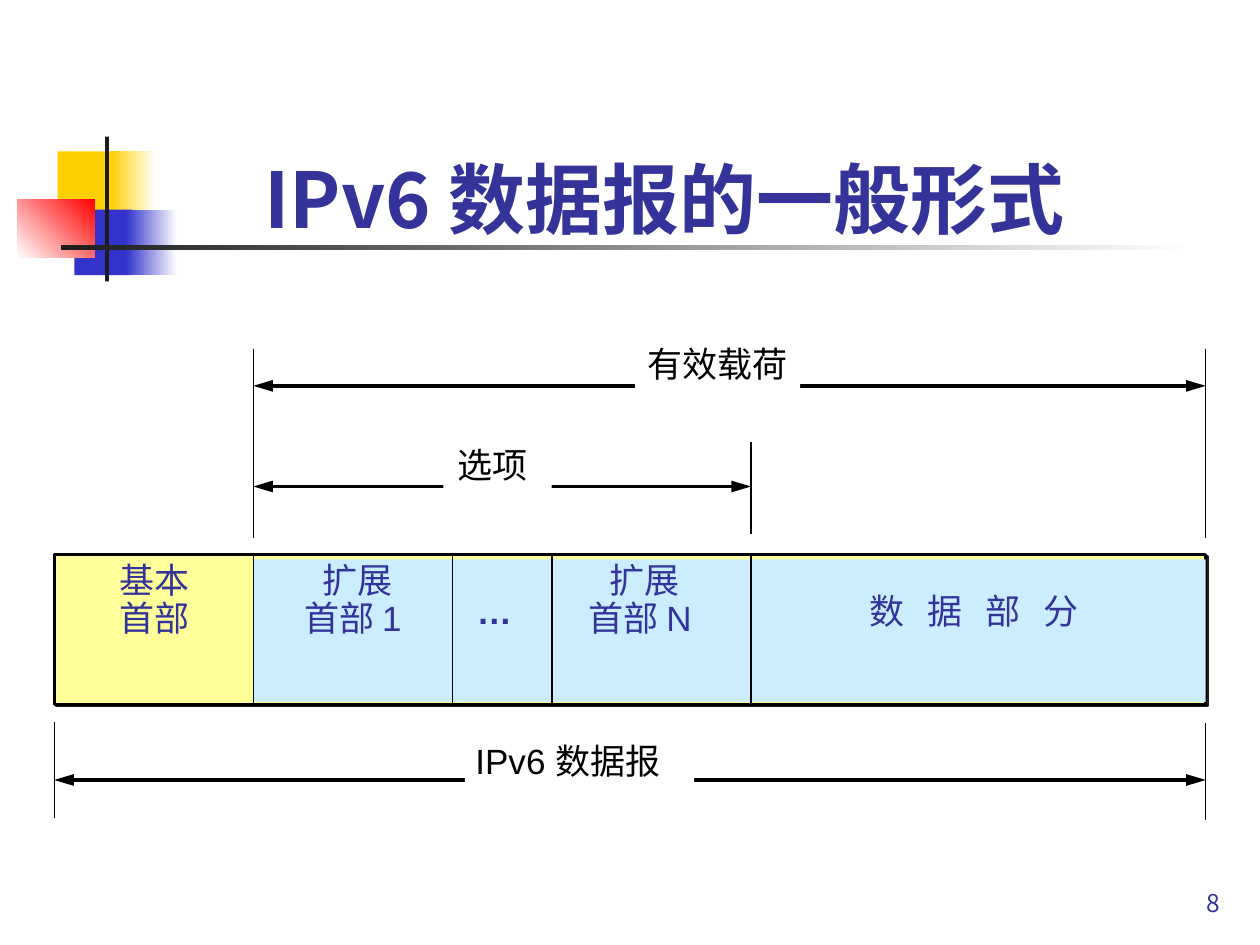
from lxml.etree import SubElement
from pptx import Presentation
from pptx.dml.color import RGBColor
from pptx.enum.shapes import MSO_CONNECTOR, MSO_SHAPE
from pptx.enum.text import MSO_ANCHOR, MSO_AUTO_SIZE, PP_ALIGN
from pptx.oxml.ns import qn
from pptx.util import Pt

CJK = "Noto Sans CJK JP"
NAVY, BLACK, WHITE = "333399", "000000", "FFFFFF"

# Datagram row: one column unit per header, half a unit for the ellipsis
LEFT, RIGHT, UNIT = 31, 689, 113.75
TOP, HEIGHT = 316.8, 85.7
HEADERS_LEFT, GAP_LEFT, GAP_RIGHT, DATA_LEFT = (
    LEFT + UNIT * n for n in (1, 2, 2.5, 3.5))


def color(value):
    return RGBColor.from_string(value)


def box(s, x, y, w, h, fill, fill_to=None, angle=0):
    """Borderless rectangle, solid or with a two-colour gradient."""
    sp = s.shapes.add_shape(MSO_SHAPE.RECTANGLE, Pt(x), Pt(y), Pt(w), Pt(h))
    sp.shadow.inherit = False
    sp.line.fill.background()
    if fill_to:
        sp.fill.gradient()
        sp.fill.gradient_angle = angle
        for stop, value in zip(sp.fill.gradient_stops, (fill, fill_to)):
            stop.color.rgb = color(value)
    else:
        sp.fill.solid()
        sp.fill.fore_color.rgb = color(fill)
    return sp


def line(s, x1, y1, x2, y2, width=0.75, arrows=False):
    sp = s.shapes.add_connector(
        MSO_CONNECTOR.STRAIGHT, Pt(x1), Pt(y1), Pt(x2), Pt(y2))
    sp.line.width = Pt(width)
    sp.line.color.rgb = color(BLACK)
    if arrows:
        for end in ("a:headEnd", "a:tailEnd"):
            SubElement(sp.line._ln, qn(end), type="triangle", w="med", len="lg")
    SubElement(sp._element.spPr, qn("a:effectLst"))


def style(p, size, value, font="Arial", bold=False, align=PP_ALIGN.LEFT):
    p.alignment = align
    p.font.size = Pt(size)
    p.font.bold = bold
    p.font.color.rgb = color(value)
    p.font.name = font
    SubElement(p._p.pPr.find(qn("a:defRPr")), qn("a:ea"), typeface=CJK)


def label(s, x, y, w, h, lines, value=NAVY, fill=None, spacing=None, **fmt):
    """Unwrapped text in a box that grows to fit it."""
    sp = s.shapes.add_textbox(Pt(x), Pt(y), Pt(w), Pt(h))
    if fill:
        sp.fill.solid()
        sp.fill.fore_color.rgb = color(fill)
    tf = sp.text_frame
    tf.word_wrap = False
    tf.auto_size = MSO_AUTO_SIZE.SHAPE_TO_FIT_TEXT
    tf.text = "\n".join(lines)
    for p in tf.paragraphs:
        p.line_spacing = spacing
        style(p, 20, value, **fmt)
    return tf


def dimension(s, x1, x2, y, text, text_box, mask=None):
    """Double arrow with its caption set into a white gap."""
    line(s, x1, y, x2, y, 2.25, arrows=True)
    if mask:
        box(s, *mask, WHITE)
    label(s, *text_box, [text], BLACK, fill=None if mask else WHITE)


def decoration(s):
    box(s, 33, 86.5, 34.5, 37.5, "FFCF01")
    box(s, 63, 86.5, 26, 37.5, "FFCF01", WHITE)
    box(s, 42.5, 119.8, 33, 37.4, "3333CC")
    box(s, 72, 119.8, 29, 37.4, "3333CC", WHITE)
    box(s, 10, 113.8, 44, 33.2, WHITE, "FF0000", 45)
    box(s, 60, 78, 2.3, 82.8, "1C1C1C")
    box(s, 34.6, 140.2, 648, 2.4, "1C1C1C", WHITE)


def title(s):
    sp = s.shapes.title
    sp.left, sp.top, sp.width, sp.height = Pt(107), Pt(83), Pt(545.8), Pt(59.8)
    tf = sp.text_frame
    tf.text = "IPv6 数据报的一般形式"
    tf.auto_size = MSO_AUTO_SIZE.NONE
    tf.vertical_anchor = MSO_ANCHOR.BOTTOM
    style(tf.paragraphs[0], 44, NAVY, CJK, True, PP_ALIGN.CENTER)


def page_number(s):
    sp = s.shapes.add_textbox(Pt(554.4), Pt(491.8), Pt(149.8), Pt(36))
    tf = sp.text_frame
    tf.word_wrap = True
    tf.vertical_anchor = MSO_ANCHOR.BOTTOM
    tf.text = "8"
    style(tf.paragraphs[0], 14, NAVY, CJK, align=PP_ALIGN.RIGHT)


def datagram(s):
    # Frame with a thin hard shadow, data area and column rules
    frame = box(s, LEFT, TOP, RIGHT - LEFT, HEIGHT, "FFFF99")
    frame.line.width = Pt(1.5)
    frame.line.color.rgb = color(BLACK)
    shadow = SubElement(frame._element.spPr.find(qn("a:effectLst")),
                        qn("a:outerShdw"), blurRad="0", dist=str(Pt(1.4)),
                        dir="2700000", algn="ctr", rotWithShape="0")
    SubElement(shadow, qn("a:srgbClr"), val="1C1C1C")
    box(s, HEADERS_LEFT, TOP + 2.9, RIGHT - HEADERS_LEFT, 81.4, "CCECFF")
    for x in (HEADERS_LEFT, GAP_LEFT, GAP_RIGHT, DATA_LEFT):
        line(s, x, TOP, x, TOP + HEIGHT)

    # Header names
    for x, w, lines, indent in ((60.2, 56, ("基本", "首部"), 0),
                                (163.7, 76, ("扩展", "首部 1"), 5.5),
                                (325.8, 80, ("扩展", "首部 N"), 5.5)):
        tf = label(s, x, 318.2, w, 50.4, lines, spacing=0.9,
                   align=PP_ALIGN.CENTER)
        tf.paragraphs[0]._p.pPr.set("marL", str(Pt(indent)))
    label(s, 265.5, 333.4, 34.4, 31.7, ["…"], bold=True)
    tf = label(s, 489.6, 333.4, 138, 31.7, ["数 据 部 分"])
    tf.paragraphs[0].runs[0]._r.get_or_add_rPr().set("spc", "440")


def measures(s):
    for x, y1, y2 in ((HEADERS_LEFT, 199.4, 307.4), (DATA_LEFT, 252.7, 305.3),
                      (LEFT, 412.6, 467.3), (RIGHT, 413.3, 468.7),
                      (RIGHT, 199.4, 307.4)):
        line(s, x, y1, x, y2)
    dimension(s, HEADERS_LEFT, DATA_LEFT, 278, "选项",
              (254.4, 249.8, 55, 31.7), (253.4, 252.7, 61.9, 45.4))
    dimension(s, LEFT, RIGHT, 445.7, "IPv6 数据报",
              (264.6, 419, 125, 31.7), (265.7, 420.5, 131, 46.8))
    dimension(s, HEADERS_LEFT, RIGHT, 220.5, "有效载荷",
              (362.9, 192.2, 94.4, 31.7))


def main():
    prs = Presentation()
    prs.slide_width, prs.slide_height = Pt(720), Pt(540)
    s = prs.slides.add_slide(prs.slide_layouts[5])
    decoration(s)
    page_number(s)
    title(s)
    datagram(s)
    measures(s)
    prs.save("out.pptx")


if __name__ == "__main__":
    main()
